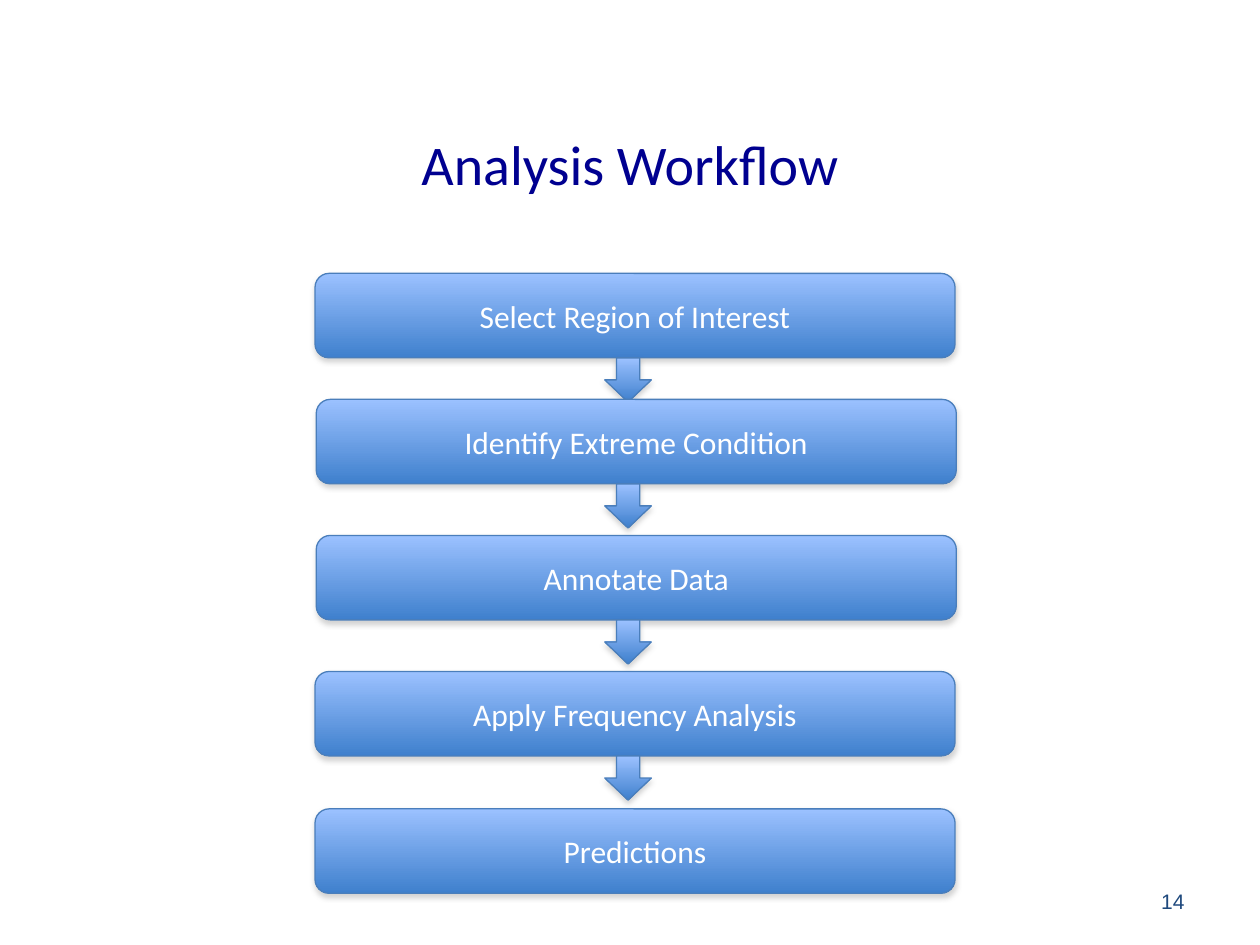
import pptx
import pptx.util
import pptx.oxml
import pptx.oxml.ns
import pptx.dml.color
import pptx.enum.shapes
import pptx.enum.text

Inches = pptx.util.Inches
Pt = pptx.util.Pt
KIND = pptx.enum.shapes.MSO_SHAPE
ALIGN = pptx.enum.text.PP_ALIGN
HUES = {"title": "000090", "page": "1F497D", "top": "9BC1FF", "base": "3F80CD",
        "edge": "4A7EBB", "shade": "808080", "label": "FFFFFF"}


def write(shape, text, size, font, hue, align):
    frame = shape.text_frame
    frame.text = text
    frame.word_wrap = True
    frame.vertical_anchor = pptx.enum.text.MSO_ANCHOR.MIDDLE
    line = frame.paragraphs[0]
    line.alignment = align
    face = line.runs[0].font
    face.size = Pt(size)
    face.name = font
    face.color.rgb = pptx.dml.color.RGBColor.from_string(HUES[hue])


def draw(kind, left, top, width, height):
    shape = slide.shapes.add_shape(kind, Inches(left), Inches(top), Inches(width), Inches(height))
    shape.fill.gradient()
    shape.fill.gradient_angle = 270
    for stop, hue, place in zip(shape.fill.gradient_stops, ("top", "base"), (0, 1)):
        stop.color.rgb = pptx.dml.color.RGBColor.from_string(HUES[hue])
        stop.position = place
    shape.line.color.rgb = pptx.dml.color.RGBColor.from_string(HUES["edge"])
    shape.line.width = Pt(0.75)
    shape.shadow.inherit = False
    glow = pptx.oxml.parse_xml(
        f'<a:outerShdw {pptx.oxml.ns.nsdecls("a")} blurRad="{Pt(3.1)}" dist="{Pt(1.8)}" '
        f'dir="5400000" rotWithShape="0"><a:srgbClr val="{HUES["shade"]}">'
        '<a:alpha val="35000"/></a:srgbClr></a:outerShdw>')
    shape.element.spPr.find(pptx.oxml.ns.qn("a:effectLst")).append(glow)
    return shape


deck = pptx.Presentation()
deck.slide_width = Inches(10)
deck.slide_height = Inches(7.5)
slide = deck.slides.add_slide(deck.slide_layouts[5])

title = slide.shapes.title
title.left, title.top = Inches(0.5), Inches(0.92)
title.width, title.height = Inches(9), Inches(0.75)
write(title, "Analysis Workflow", 32, "Calibri", "title", ALIGN.CENTER)

page = slide.shapes.add_textbox(Inches(7.17), Inches(6.95), Inches(2.33), Inches(0.4))
write(page, "14", 12, "Arial", "page", ALIGN.RIGHT)

wide, high = 5.08, 0.67
steps = [
    ("Select Region of Interest", 2.5, 2.17),
    ("Identify Extreme Condition", 2.51, 3.17),
    ("Annotate Data", 2.51, 4.25),
    ("Apply Frequency Analysis", 2.5, 5.33),
    ("Predictions", 2.5, 6.42),
]
for rank, (text, left, top) in enumerate(steps, 1):
    box = draw(KIND.ROUNDED_RECTANGLE, left, top, wide, high)
    write(box, text, 18, "Calibri", "label", ALIGN.CENTER)
    if rank < len(steps):
        draw(KIND.DOWN_ARROW, 4.8, top + high, 0.37, 0.35)

deck.save("out.pptx")
